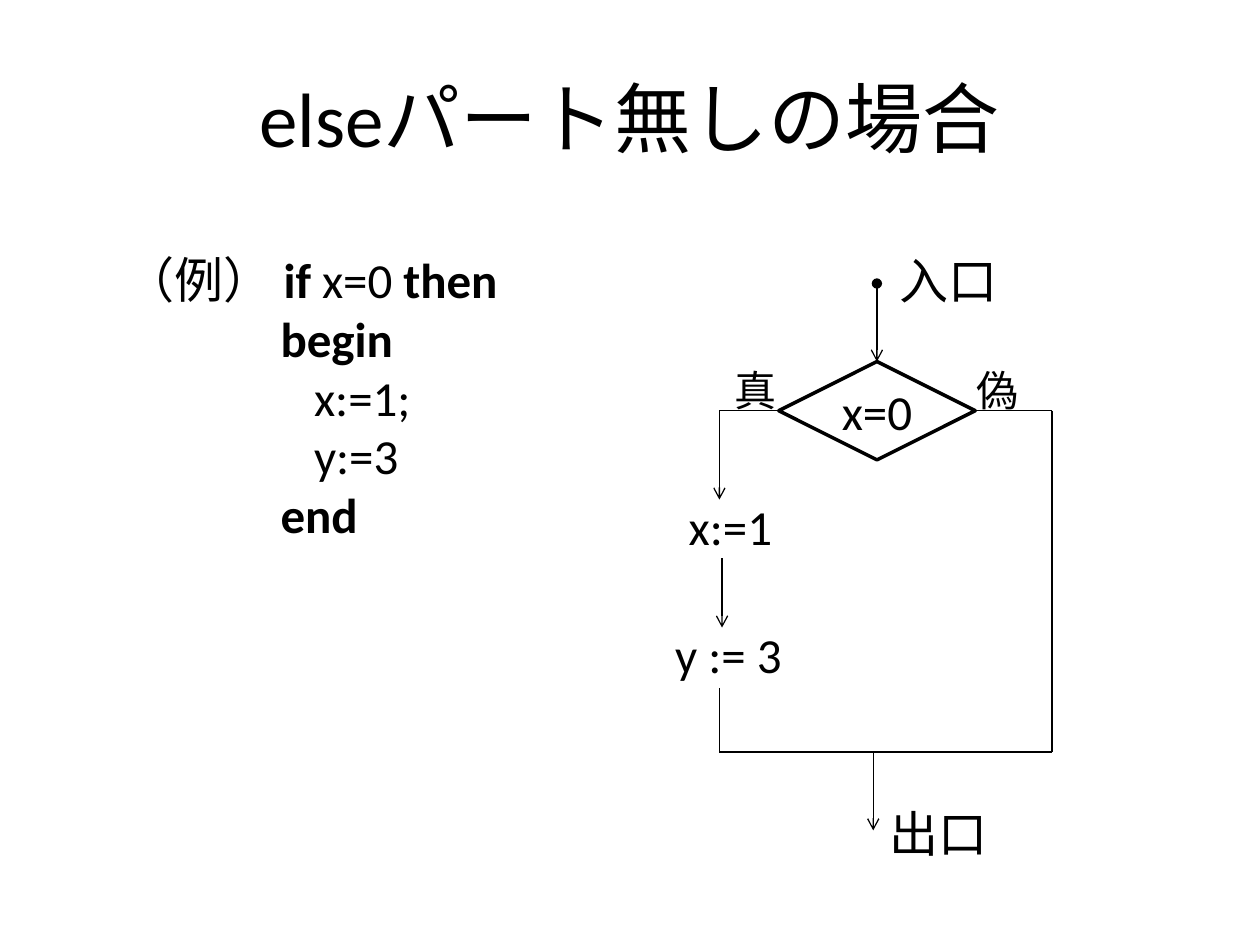
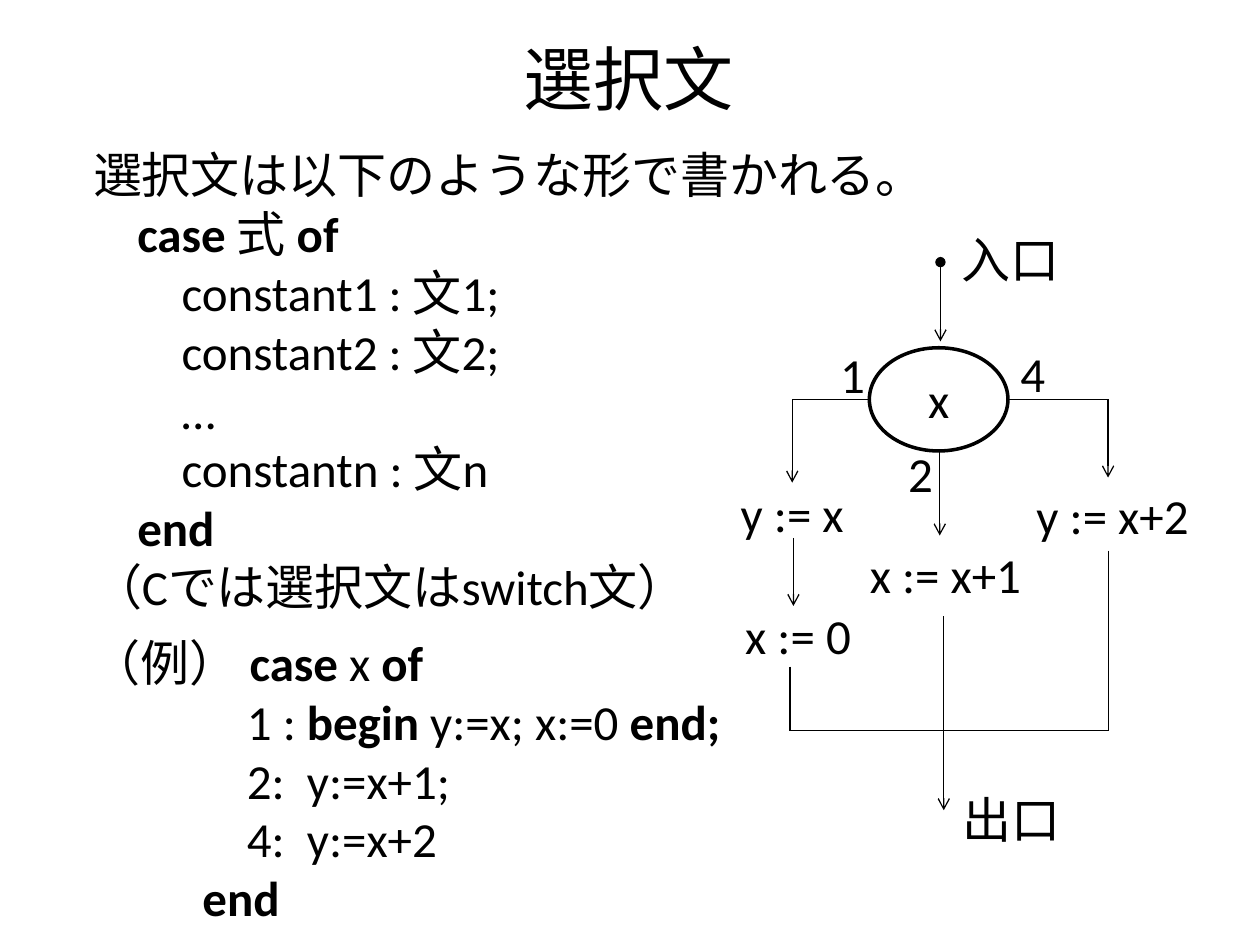
from dataclasses import dataclass
from itertools import pairwise

from lxml.etree import SubElement
from pptx import Presentation
from pptx.dml.color import RGBColor
from pptx.enum.shapes import MSO_CONNECTOR, MSO_SHAPE
from pptx.enum.text import MSO_ANCHOR, MSO_AUTO_SIZE, PP_ALIGN
from pptx.oxml.ns import qn
from pptx.util import Pt

BLACK = RGBColor(0x00, 0x00, 0x00)
FONT = "Calibri"
BODY_SIZE = 28


@dataclass(frozen=True)
class Title:
    text: str
    left: float
    top: float
    height: float
    size: int


@dataclass(frozen=True)
class TextBlock:
    """Lines of text; parts between double asterisks are bold."""
    left: float
    top: float
    width: float
    lines: tuple[str, ...]
    size: int = BODY_SIZE
    wrap: bool = False


@dataclass(frozen=True)
class Node:
    left: float
    top: float
    width: float
    height: float
    text: str
    kind: MSO_SHAPE


@dataclass(frozen=True)
class Route:
    """A chain of straight lines, with optional line ends."""
    points: tuple[tuple[float, float], ...]
    head: str = ""
    tail: str = ""


@dataclass(frozen=True)
class FlowSlide:
    title: Title
    blocks: tuple[TextBlock, ...]
    node: Node
    routes: tuple[Route, ...]


def label(left: float, top: float, width: float, text: str,
          size: int = BODY_SIZE) -> TextBlock:
    return TextBlock(left, top, width, (text,), size)


def arrow(*points: tuple[float, float], head: str = "") -> Route:
    return Route(points, head, "arrow")


def line(*points: tuple[float, float]) -> Route:
    return Route(points)


def style(p, size: int) -> None:
    p.font.name = FONT
    p.font.size = Pt(size)
    p.font.color.rgb = BLACK


def draw_title(s, title: Title) -> None:
    sp = s.shapes.title
    sp.left, sp.top = Pt(title.left), Pt(title.top)
    sp.width, sp.height = Pt(648), Pt(title.height)
    tf = sp.text_frame
    tf.text = title.text
    tf.vertical_anchor = MSO_ANCHOR.MIDDLE
    p = tf.paragraphs[0]
    p.alignment = PP_ALIGN.CENTER
    style(p, title.size)


def draw_block(s, block: TextBlock) -> None:
    height = len(block.lines) * block.size * 1.2 + 7.2
    sp = s.shapes.add_textbox(Pt(block.left), Pt(block.top),
                              Pt(block.width), Pt(height))
    tf = sp.text_frame
    tf.word_wrap = block.wrap
    tf.auto_size = MSO_AUTO_SIZE.SHAPE_TO_FIT_TEXT
    for i, text in enumerate(block.lines):
        p = tf.add_paragraph() if i else tf.paragraphs[0]
        style(p, block.size)
        for j, part in enumerate(text.split("**")):
            if part:
                r = p.add_run()
                r.text = part
                r.font.bold = j % 2 == 1


def draw_node(s, node: Node) -> None:
    sp = s.shapes.add_shape(node.kind, Pt(node.left), Pt(node.top),
                            Pt(node.width), Pt(node.height))
    sp.shadow.inherit = False
    sp.fill.background()
    sp.line.color.rgb = BLACK
    sp.line.width = Pt(2)
    tf = sp.text_frame
    tf.word_wrap = False
    tf.vertical_anchor = MSO_ANCHOR.MIDDLE
    p = tf.paragraphs[0]
    p.text = node.text
    p.alignment = PP_ALIGN.CENTER
    style(p, BODY_SIZE)


def draw_route(s, route: Route) -> None:
    segments = list(pairwise(route.points))
    for i, ((x1, y1), (x2, y2)) in enumerate(segments):
        cxn = s.shapes.add_connector(MSO_CONNECTOR.STRAIGHT,
                                     Pt(x1), Pt(y1), Pt(x2), Pt(y2))
        cxn.line.color.rgb = BLACK
        cxn.line.width = Pt(0.75)
        ln = cxn.line._get_or_add_ln()
        if route.head and i == 0:
            SubElement(ln, qn("a:headEnd"), type=route.head)
        if route.tail and i == len(segments) - 1:
            SubElement(ln, qn("a:tailEnd"), type=route.tail)
        SubElement(cxn._element.spPr, qn("a:effectLst"))


IF_SLIDE = FlowSlide(
    title=Title("elseパート無しの場合", 36, 21.6, 90, 44),
    blocks=(
        TextBlock(64.8, 139, 228.2, (
            "（例） **if** x=0 **then**",
            "              **begin**",
            "                 x:=1;",
            "                 y:=3",
            "              **end**",
        ), wrap=True),
        label(506.9, 139.7, 71.3, "入口"),
        label(412.6, 204.5, 38.9, "真", 24),
        label(550.8, 204.5, 38.9, "偽", 24),
        label(386.5, 280, 62.7, "x:=1"),
        label(378.7, 353.5, 82.8, "y := 3"),
        label(501.1, 455.8, 71.3, "出口"),
    ),
    node=Node(445, 206.6, 112.3, 56.2, "x=0", MSO_SHAPE.DIAMOND),
    routes=(
        arrow((501.1, 162), (501.1, 206.6), head="oval"),
        arrow((445, 234.7), (411.1, 234.7), (411.1, 285.5)),
        arrow((412.6, 319), (412.6, 358.6)),
        line((411.1, 393.1), (411.1, 429.8), (499, 429.8)),
        line((557.3, 234.7), (601.2, 234.7), (601.2, 429.8), (499, 429.8)),
        arrow((499, 429.8), (499, 474.5)),
    ),
)

CASE_SLIDE = FlowSlide(
    title=Title("選択文", 35.3, 5, 78.5, 40),
    blocks=(
        TextBlock(46.1, 79.2, 463.7, (
            "選択文は以下のような形で書かれる。",
            "    **case **式 **of**",
            "        constant1 : 文1;",
            "        constant2 : 文2;",
            "        …",
            "        constantn : 文n",
            "    **end**",
            "（Cでは選択文はswitch文）",
        )),
        TextBlock(45.4, 357.8, 378, (
            "（例） **case** x **of**",
            "              1 : **begin** y:=x; x:=0 **end;**",
            "              2:  y:=x+1;",
            "              4:  y:=x+2",
            "          **end**",
        )),
        label(542.2, 127.4, 71.3, "入口"),
        label(473, 193.5, 28.8, "1"),
        label(511.9, 249.8, 28.8, "2"),
        label(576, 193, 28.8, "4"),
        label(416.2, 272.9, 74.2, "y := x"),
        label(418.8, 342.7, 82.2, "x := 0"),
        label(490, 307.4, 109, "x := x+1"),
        label(585.2, 273.6, 102.4, "y := x+2"),
        label(542.9, 447.8, 71.3, "出口"),
    ),
    node=Node(496.8, 198.7, 79.2, 59, "x", MSO_SHAPE.OVAL),
    routes=(
        arrow((537.4, 149.8), (537.4, 195.1), head="oval"),
        arrow((496.8, 228.2), (452.7, 228.2), (452.7, 275.8)),
        arrow((453.4, 307.4), (453.4, 346.3)),
        arrow((537, 257.7), (537, 306)),
        arrow((576, 228.2), (633.2, 228.2), (633.2, 272.9)),
        line((451.4, 380.9), (451.4, 417.6), (539.3, 417.6)),
        line((633.6, 314.6), (633.6, 417.6), (539.3, 417.6)),
        arrow((539.3, 352.1), (539.3, 463)),
    ),
)


def main() -> None:
    prs = Presentation()
    prs.slide_width, prs.slide_height = Pt(720), Pt(540)
    title_only = prs.slide_layouts[5]
    for flow in (IF_SLIDE, CASE_SLIDE):
        s = prs.slides.add_slide(title_only)
        draw_title(s, flow.title)
        for block in flow.blocks:
            draw_block(s, block)
        draw_node(s, flow.node)
        for route in flow.routes:
            draw_route(s, route)
    prs.save("out.pptx")


if __name__ == "__main__":
    main()
